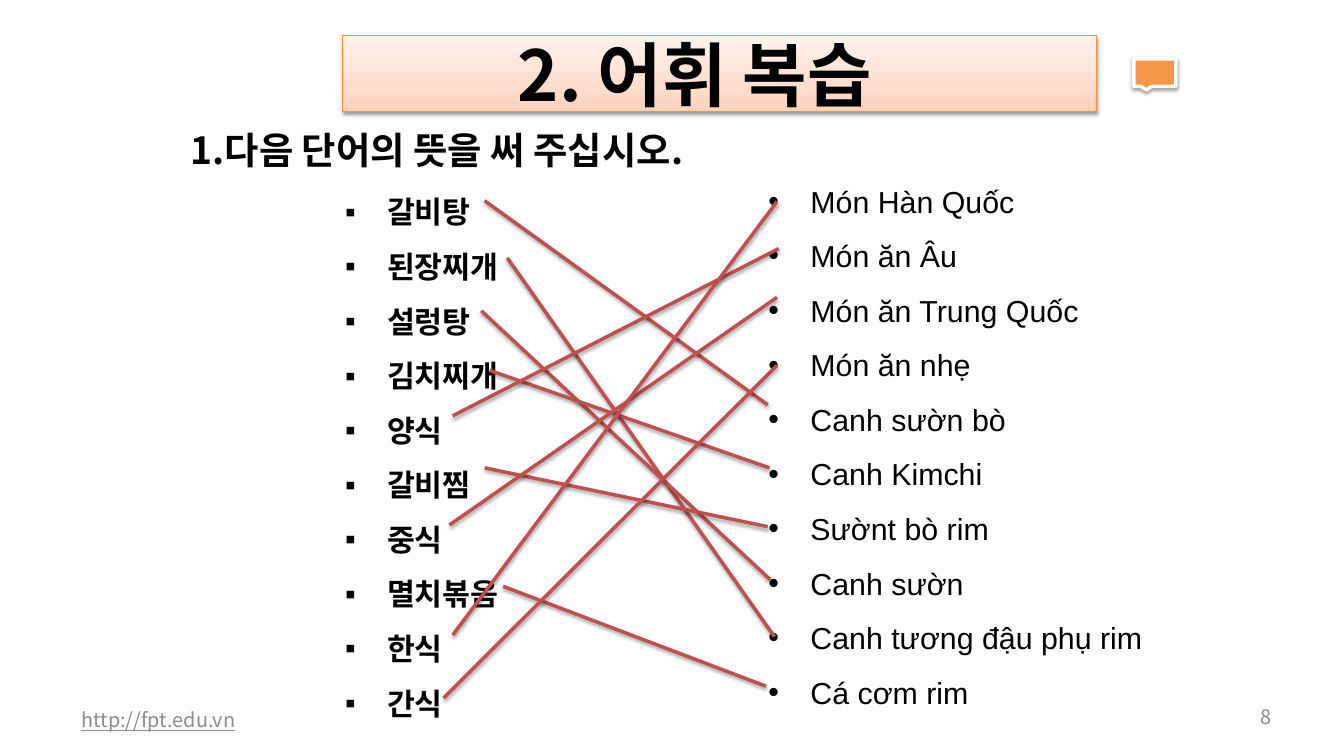
from lxml.etree import SubElement
from pptx import Presentation
from pptx.dml.color import RGBColor
from pptx.enum.shapes import MSO_CONNECTOR as Link, MSO_SHAPE as Shape
from pptx.enum.text import MSO_ANCHOR as Anchor, PP_ALIGN as Align
from pptx.oxml.ns import qn
from pptx.util import Inches, Pt

BLACK = RGBColor(0, 0, 0)
WHITE = RGBColor(255, 255, 255)
GRAY = RGBColor(0x8C, 0x8C, 0x8C)
PALE = RGBColor(0x89, 0x89, 0x89)
ORANGE = RGBColor(0xF7, 0x96, 0x46)
EDGE = RGBColor(0xF6, 0x92, 0x40)
RED = RGBColor(0xC0, 0x50, 0x4D)
FADE = [(0, "FFD2BD"), (35, "FFDED0"), (100, "FFF2ED")]
KOREAN, LATIN = "Noto Sans CJK KR", "Arial"

TITLE = "2. 어휘 복습"
TASK = "1.다음 단어의 뜻을 써 주십시오."
SITE, PAGE = "http://fpt.edu.vn", "8"
WORDS = ["갈비탕", "된장찌개", "설렁탕", "김치찌개", "양식",
         "갈비찜", "중식", "멸치볶음", "한식", "간식"]
MEANINGS = ["Món Hàn Quốc", "Món ăn Âu", "Món ăn Trung Quốc", "Món ăn nhẹ",
            "Canh sườn bò", "Canh Kimchi", "Sườnt bò rim", "Canh sườn",
            "Canh tương đậu phụ rim", "Cá cơm rim"]
MATCHES = [
    (5.77, 2.39, 9.14, 4.82), (6.04, 3.07, 9.22, 7.58),
    (5.73, 3.70, 9.17, 6.90), (5.83, 4.41, 9.16, 5.57),
    (5.39, 4.95, 9.27, 2.96), (5.77, 5.57, 9.14, 6.27),
    (5.35, 6.25, 9.25, 3.54), (5.99, 6.98, 9.12, 8.17),
    (5.39, 7.56, 9.25, 2.40), (5.28, 8.31, 9.25, 4.35),
]


def add(parent, tag, **attrs):
    return SubElement(parent, qn(tag), {k: str(v) for k, v in attrs.items()})


def shade(shape, alpha, dist):
    effects = add(shape._element.spPr, "a:effectLst")
    outer = add(effects, "a:outerShdw", blurRad=Pt(3.1), dist=Pt(dist),
                dir=5400000, algn="ctr", rotWithShape=0)
    color = add(outer, "a:srgbClr", val="000000")
    add(color, "a:alpha", val=alpha * 1000)


def outline(shape, color, width):
    shape.line.color.rgb = color
    shape.line.width = Pt(width)


def style(para, size, color=BLACK, face=KOREAN, bold=False):
    font = para.font
    font.size, font.bold, font.name = Pt(size), bold, face
    font.color.rgb = color
    add(font._rPr, "a:ea", typeface=face)


def write(slide, box, lines, size, bullet=None, inset=(0.1, 0.05), **look):
    frame = slide.shapes.add_textbox(*map(Inches, box)).text_frame
    frame.word_wrap = True
    frame.margin_left = frame.margin_right = Inches(inset[0])
    frame.margin_top = frame.margin_bottom = Inches(inset[1])
    frame.text = "\n".join(lines)
    for para in frame.paragraphs:
        if bullet:
            para.line_spacing = 1.5
            props = para._p.get_or_add_pPr()
            props.set("marL", str(Inches(0.5)))
            props.set("indent", str(Inches(-0.5)))
            add(props, "a:buFont", typeface=LATIN)
            add(props, "a:buChar", char=bullet)
        style(para, size, **look)
    return frame


def head(slide):
    title = slide.shapes.title
    title.left, title.top, title.width, title.height = map(
        Inches, (4.08, 0.42, 8.97, 0.91))
    grad = add(title._element.spPr, "a:gradFill", rotWithShape=1)
    stops = add(grad, "a:gsLst")
    for pos, color in FADE:
        add(add(stops, "a:gs", pos=pos * 1000), "a:srgbClr", val=color)
    add(grad, "a:lin", ang=16200000, scaled=0)
    outline(title, EDGE, 0.75)
    shade(title, 38, 1.6)
    frame = title.text_frame
    frame.text = TITLE
    frame.vertical_anchor = Anchor.MIDDLE
    frame.margin_left, frame.margin_right = Inches(0.1), Inches(0.69)
    frame.margin_top = frame.margin_bottom = Inches(0.05)
    para = frame.paragraphs[0]
    para.alignment = Align.CENTER
    style(para, 60, bold=True)


def main():
    """Build the vocabulary matching slide."""
    deck = Presentation()
    deck.slide_width, deck.slide_height = Inches(16), Inches(9)
    slide = deck.slides.add_slide(deck.slide_layouts[5])
    shapes = slide.shapes

    foot = write(slide, (0.83, 8.33, 5.07, 0.48), [SITE], 17,
                 inset=(0.14, 0.07), color=GRAY)
    foot.paragraphs[0].font.underline = True
    page = write(slide, (14.5, 8.33, 0.78, 0.41), [PAGE], 17,
                 inset=(0.14, 0.07), color=PALE)
    page.paragraphs[0].alignment = Align.RIGHT
    foot.vertical_anchor = page.vertical_anchor = Anchor.MIDDLE

    head(slide)
    write(slide, (2.17, 1.46, 12.58, 0.64), [TASK], 32, bold=True)

    note = shapes.add_shape(Shape.RECTANGULAR_CALLOUT,
                            *map(Inches, (13.5, 0.7, 0.5, 0.33)))
    note.fill.solid()
    note.fill.fore_color.rgb = ORANGE
    outline(note, WHITE, 3)
    shade(note, 38, 1.6)

    write(slide, (4.01, 2.04, 8, 6.66), WORDS, 26, "▪", bold=True)
    write(slide, (9.05, 1.91, 4.95, 6.58), MEANINGS, 26, "•", face=LATIN)

    for ends in MATCHES:
        line = shapes.add_connector(Link.STRAIGHT, *map(Inches, ends))
        outline(line, RED, 3)
        shade(line, 35, 1.8)

    deck.save("out.pptx")


if __name__ == "__main__":
    main()
